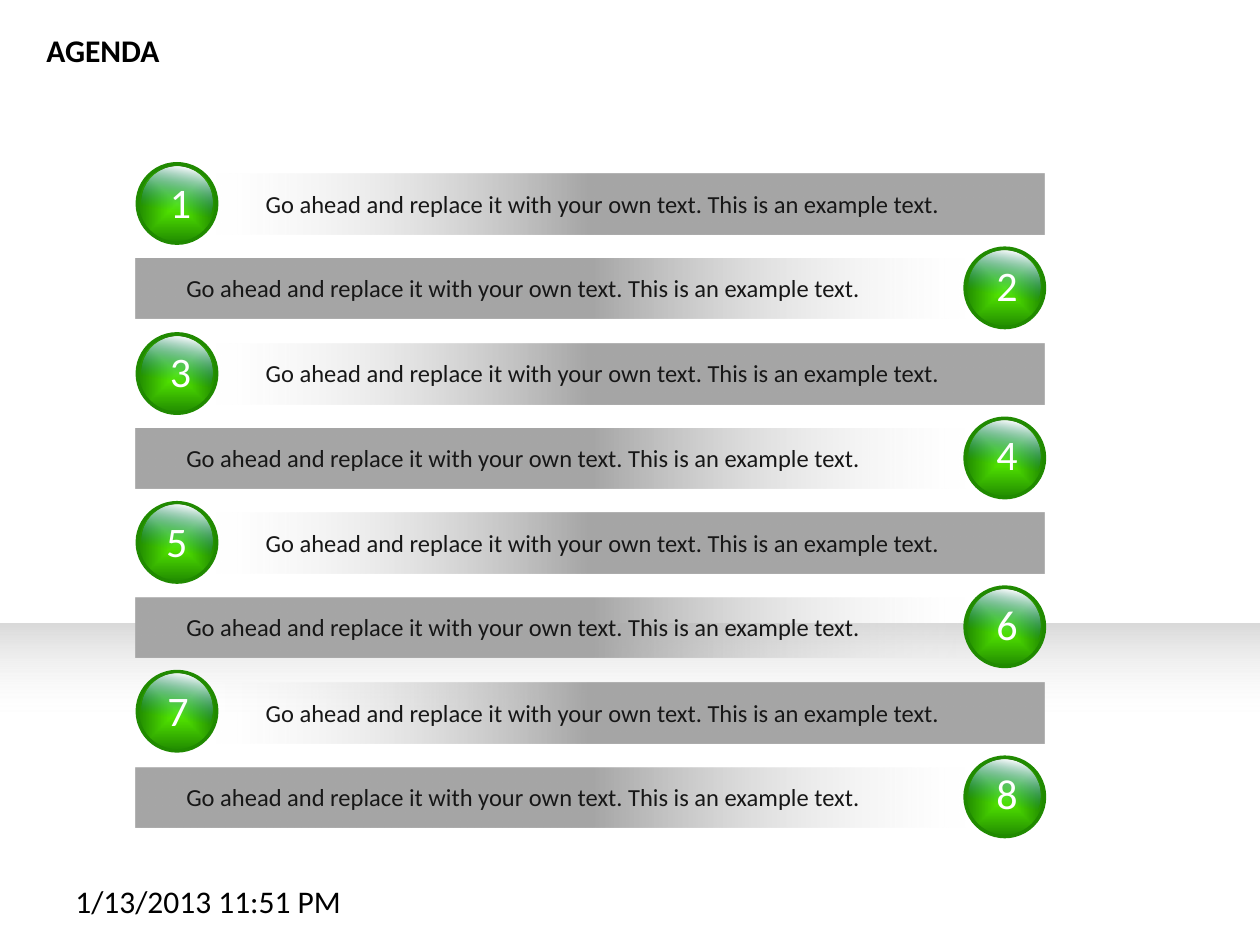
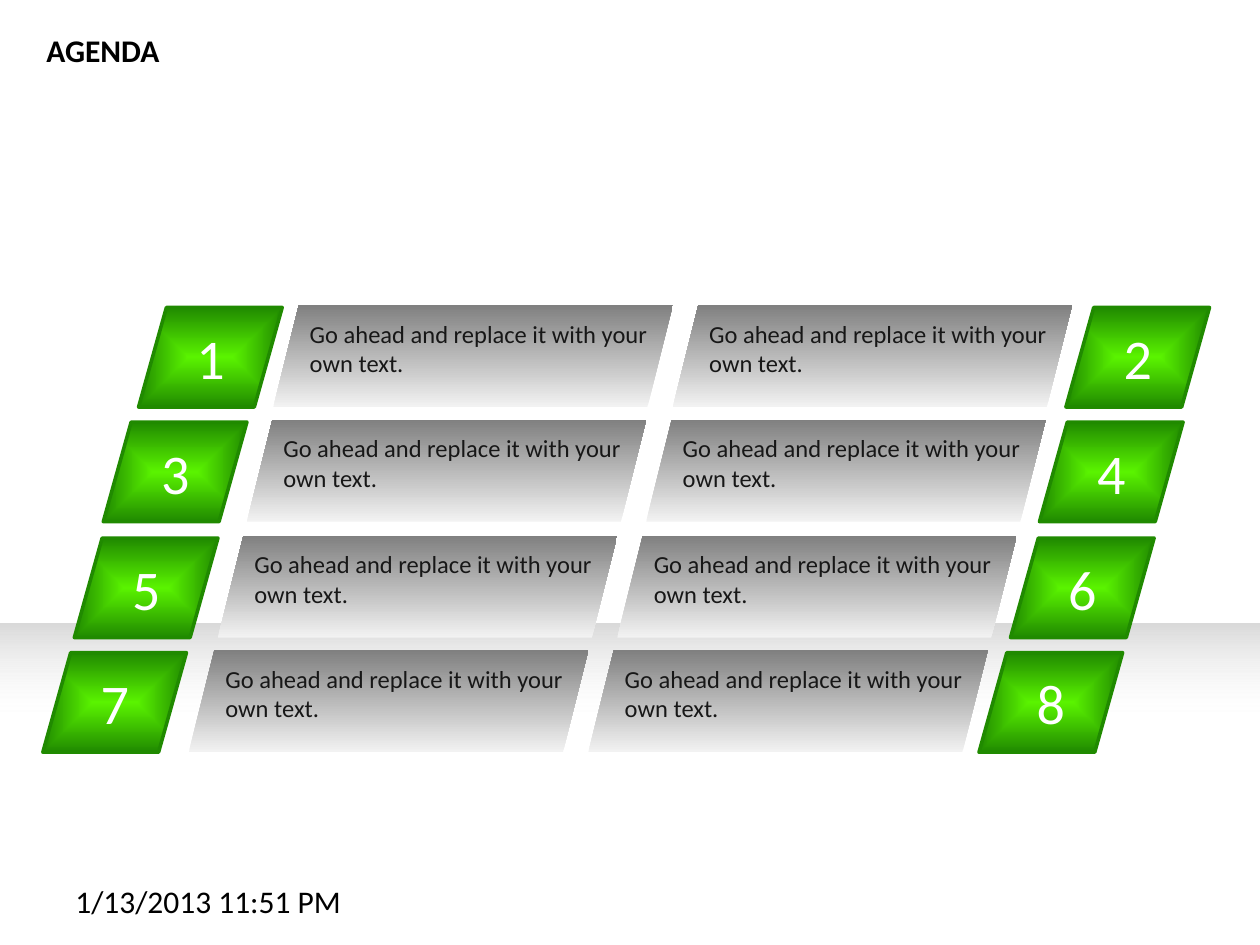
from dataclasses import dataclass

from pptx import Presentation
from pptx import oxml
from pptx import util as u
from pptx.dml import color
from pptx.enum import shapes, text
from pptx.oxml import ns

HEADING = "AGENDA"
TIMESTAMP = "1/13/2013 11:51 PM"
RIBBON_ITEMS = ["Go ahead and replace it with your own text. This is an example text."] * 8
CARD_ITEMS = ["Go ahead and replace it with your own text."] * 8

DIGIT_LEFTS = [1.25, 7.81, 1.25, 7.81, 1.22, 7.81, 1.23, 7.81]
CARD_ROWS = [
    {"badges": (1.1, 8.46), "first_card": 2.17},
    {"badges": (0.82, 8.25), "first_card": 1.96},
    {"badges": (0.59, 8.02), "first_card": 1.73},
    {"badges": (0.34, 7.77), "first_card": 1.5},
]


@dataclass(frozen=True)
class Theme:
    font: str = "Calibri"
    black: str = "000000"
    ink: str = "171717"
    white: str = "FFFFFF"
    green: str = "208A00"
    heading_size: int = 18
    body_size: int = 14
    ball_size: int = 24
    badge_size: int = 32
    outline: int = 2
    horizon: tuple = ((0, "D9D9D9", 100), (39, "FFFFFF", 0))
    ribbon: tuple = ((55, "A6A6A6", 100), (100, "F2F2F2", 0))
    glow: tuple = ((0, "5AF300", 100), (100, "208A00", 100))
    gloss: tuple = ((6, "FFFFFF", 100), (61, "0070C0", 0))
    card: tuple = ((0, "F2F2F2", 100), (100, "808080", 100))


THEME = Theme()
KIND = shapes.MSO_SHAPE


def inches(box):
    return [u.Inches(round(length, 2)) for length in box]


def paint_gradient(shape, stops, angle):
    stop_xml = "".join(
        f'<a:gs pos="{pos * 1000}"><a:srgbClr val="{rgb}">'
        f'<a:alpha val="{opacity * 1000}"/></a:srgbClr></a:gs>'
        for pos, rgb, opacity in stops
    )
    if angle is None:
        direction = '<a:path path="shape"><a:fillToRect l="50000" t="50000" r="50000" b="50000"/></a:path>'
    else:
        direction = f'<a:lin ang="{angle * 60000}" scaled="0"/>'
    gradient = oxml.parse_xml(
        f'<a:gradFill {ns.nsdecls("a")} rotWithShape="1"><a:gsLst>{stop_xml}</a:gsLst>{direction}</a:gradFill>'
    )
    shape.fill.background()
    properties = shape.fill._xPr
    properties.replace(properties.find(ns.qn("a:noFill")), gradient)


def add_panel(parent, kind, box, stops, angle=None, outline=None, slant=None):
    panel = parent.add_shape(kind, *inches(box))
    panel.shadow.inherit = False
    if slant is not None:
        panel.adjustments[0] = slant
    paint_gradient(panel, stops, angle)
    if outline:
        panel.line.color.rgb = color.RGBColor.from_string(outline)
        panel.line.width = u.Pt(THEME.outline)
    else:
        panel.line.fill.background()


def add_label(parent, words, box, size, rgb, bold=False):
    frame = parent.add_textbox(*inches(box)).text_frame
    frame_format = {"word_wrap": True, "auto_size": text.MSO_AUTO_SIZE.SHAPE_TO_FIT_TEXT}
    for name, value in frame_format.items():
        setattr(frame, name, value)
    run = frame.paragraphs[0].add_run()
    run.text = words
    font_format = {"name": THEME.font, "size": u.Pt(size), "bold": bold}
    for name, value in font_format.items():
        setattr(run.font, name, value)
    run.font.color.rgb = color.RGBColor.from_string(rgb)


def add_agenda_slide(deck):
    slide = deck.slides.add_slide(deck.slide_layouts[6])
    add_panel(slide.shapes, KIND.RECTANGLE, (0, 4.95, 10, 2.02), THEME.horizon, 90)
    add_label(slide.shapes, HEADING, (0.27, 0.2, 1.24, 0.4), THEME.heading_size, THEME.black, True)
    add_label(slide.shapes, TIMESTAMP, (0.5, 6.95, 2.33, 0.4), THEME.heading_size, THEME.black)
    return slide


def build_ribbons(deck):
    slide = add_agenda_slide(deck)
    first_top, pitch = 1.3, 0.6725
    for index, words in enumerate(RIBBON_ITEMS):
        ball_on_left = index % 2 == 0
        top = first_top + index * pitch
        ball_left, ribbon_left, angle = (1.09, 1.71, 180) if ball_on_left else (7.66, 1.08, 0)
        row = slide.shapes.add_group_shape().shapes
        add_panel(row, KIND.RECTANGLE, (ribbon_left, top + 0.08, 6.58, 0.48), THEME.ribbon, angle)
        add_label(row, words, (ribbon_left + 0.3, top + 0.15, 6.25, 0.34), THEME.body_size, THEME.ink)
        add_panel(row, KIND.OVAL, (ball_left, top, 0.63, 0.63), THEME.glow, outline=THEME.green)
        add_panel(row, KIND.OVAL, (ball_left + 0.03, top + 0.02, 0.57, 0.57), THEME.gloss, 100)
        digit_box = (DIGIT_LEFTS[index], top + (0.05 if ball_on_left else 0.035), 0.43, 0.5)
        add_label(row, str(index + 1), digit_box, THEME.ball_size, THEME.white)


def build_cards(deck):
    slide = add_agenda_slide(deck)
    first_top, pitch, card_width = 2.42, 0.913, 3.17
    for index, words in enumerate(CARD_ITEMS):
        row_index, column = divmod(index, 2)
        row = CARD_ROWS[row_index]
        top = first_top + row_index * pitch
        card_left = row["first_card"] + column * card_width
        badge_left = row["badges"][column]
        add_panel(slide.shapes, KIND.PARALLELOGRAM, (card_left, top, card_width, 0.81), THEME.card, 270)
        add_label(slide.shapes, words, (card_left + 0.19, top + 0.06, 2.88, 0.57), THEME.body_size, THEME.ink)
        badge = slide.shapes.add_group_shape().shapes
        add_panel(badge, KIND.PARALLELOGRAM, (badge_left, top + 0.02, 1.14, 0.79),
                  THEME.glow, outline=THEME.green, slant=0.28)
        add_label(badge, str(index + 1), (badge_left + 0.36, top + 0.1, 0.43, 0.64),
                  THEME.badge_size, THEME.white)


def main():
    deck = Presentation()
    deck.slide_width, deck.slide_height = inches((10, 7.5))
    build_ribbons(deck)
    build_cards(deck)
    deck.save("out.pptx")


if __name__ == "__main__":
    main()
